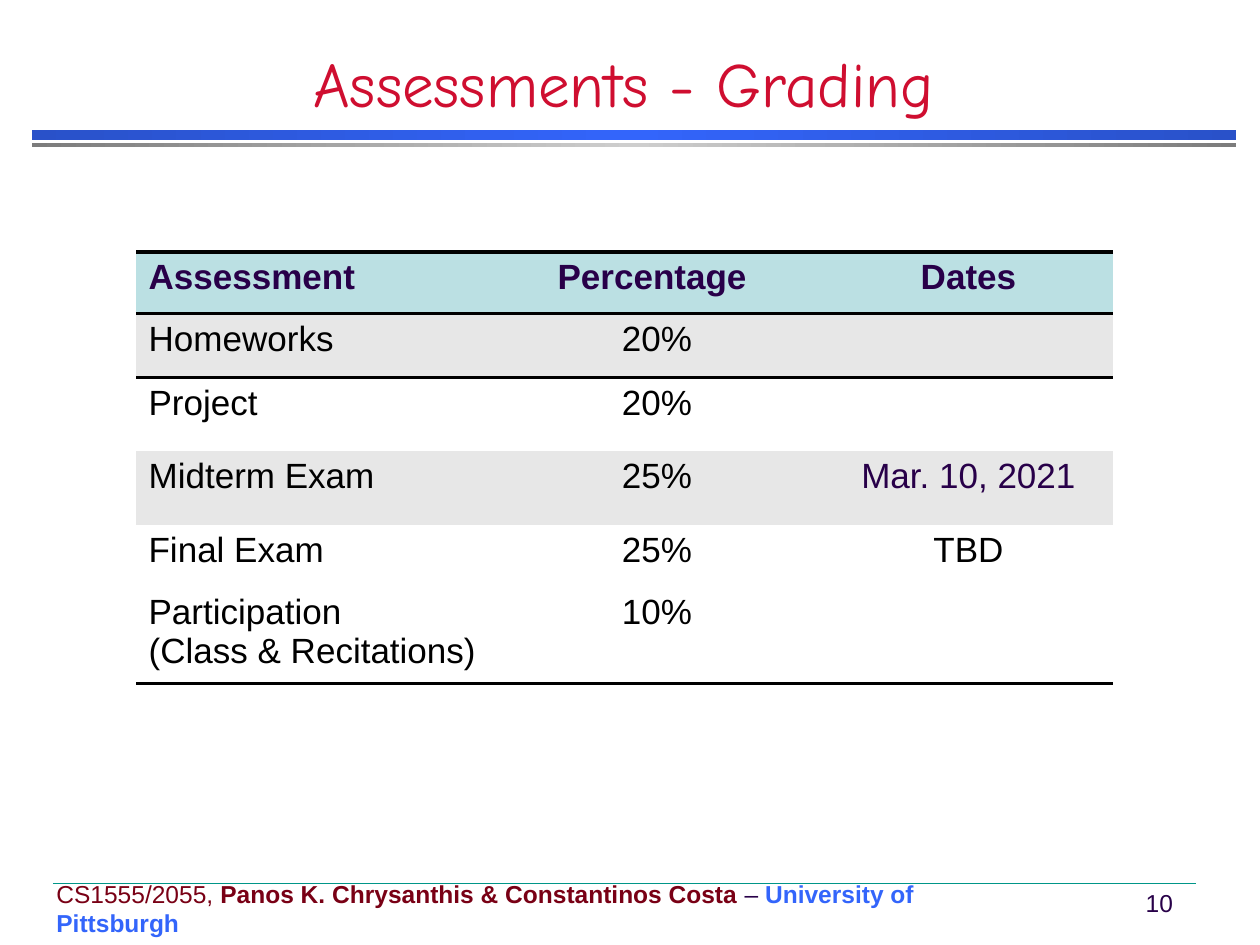
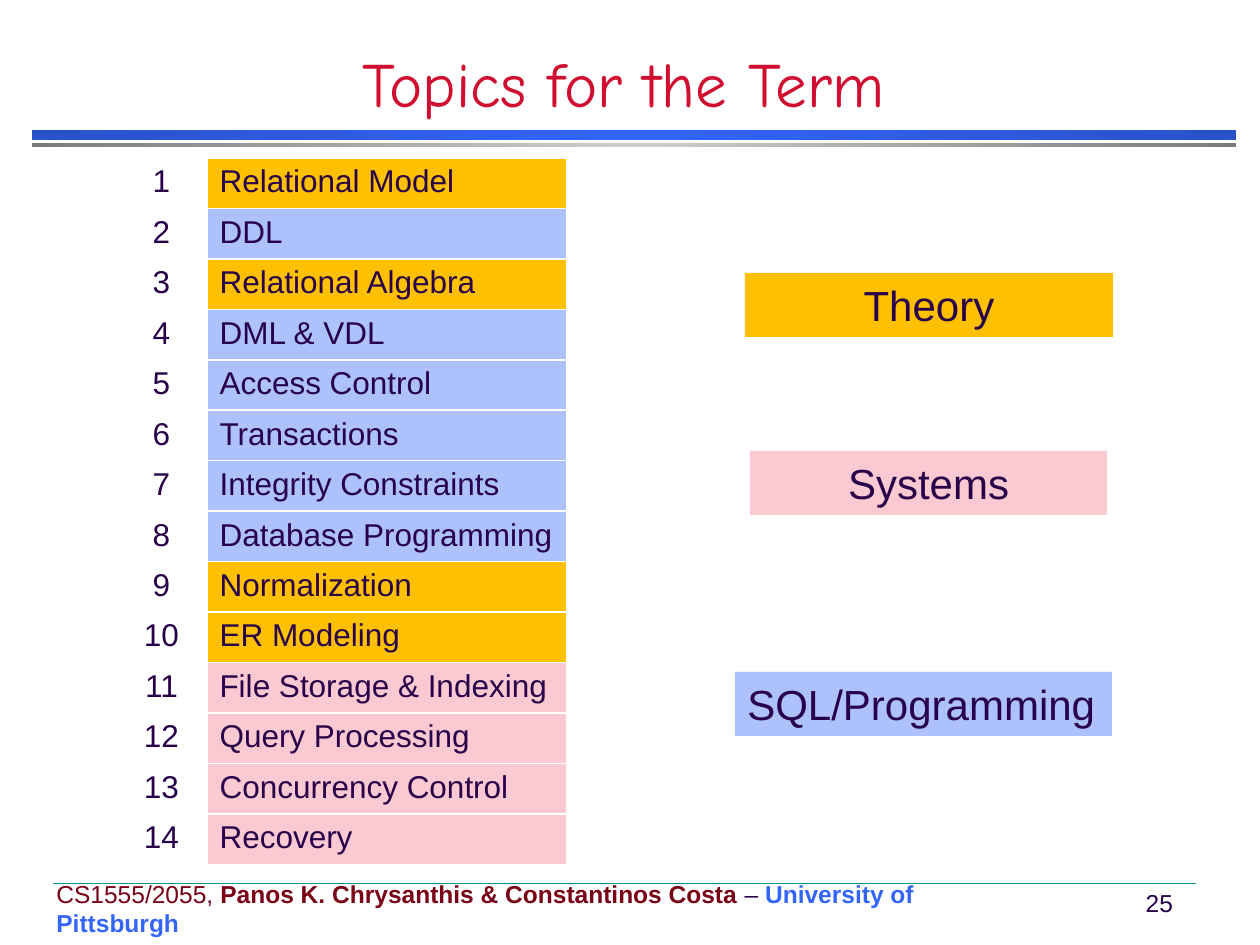
import copy
from dataclasses import dataclass

import pptx
import pptx.util
from lxml import etree
from pptx.dml.color import RGBColor
from pptx.enum.shapes import MSO_CONNECTOR, MSO_SHAPE
from pptx.enum.text import MSO_ANCHOR, MSO_AUTO_SIZE, PP_ALIGN
from pptx.oxml.ns import qn

PX_PER_INCH = 126
LEFT, CENTER = PP_ALIGN.LEFT, PP_ALIGN.CENTER
PLAIN_TABLE_STYLE = "{2D5ABB26-0587-4C30-8999-92F81FD0307C}"


@dataclass(frozen=True)
class Theme:
    body_font: str = "Arial"
    title_font: str = "Comic Neue"
    title_size: int = 36
    legend_size: int = 24
    grading_size: int = 20
    topic_size: int = 18
    footer_size: int = 14
    white: str = "FFFFFF"
    black: str = "000000"
    ink: str = "280049"
    title: str = "CF0E30"
    maroon: str = "790015"
    blue: str = "3365FB"
    blue_band: tuple = ("2951C9", "3365FB", "2951C9")
    gray_band: tuple = ("7C7C7C", "CECECE", "7C7C7C")
    rule: str = "009688"
    header: str = "BBE0E3"
    stripe: str = "E7E7E7"
    theory: str = "FFC000"
    systems: str = "FBC9D2"
    sql: str = "ADC1FD"


THEME = Theme()

FOOTER = [
    ("CS1555/2055, ", THEME.maroon, False),
    ("Panos K. Chrysanthis & Constantinos Costa ", THEME.maroon, True),
    ("– ", THEME.ink, False),
    ("University of Pittsburgh", THEME.blue, True),
]

GRADING = [
    ("Assessment", "Percentage ", "Dates"),
    ("Homeworks", "20%", ""),
    ("Project", "20%", ""),
    ("Midterm Exam", "25%", "Mar. 10, 2021"),
    ("Final Exam", "25%", "TBD"),
    ("Participation\n(Class & Recitations)", "10%", ""),
]
GRADING_FILLS = [THEME.header, THEME.stripe, THEME.white,
                 THEME.stripe, THEME.white, THEME.white]

TOPICS = [
    ("Relational Model", THEME.theory),
    ("DDL", THEME.sql),
    ("Relational Algebra", THEME.theory),
    ("DML & VDL", THEME.sql),
    ("Access Control", THEME.sql),
    ("Transactions", THEME.sql),
    ("Integrity Constraints", THEME.sql),
    ("Database Programming", THEME.sql),
    ("Normalization", THEME.theory),
    ("ER Modeling", THEME.theory),
    ("File Storage & Indexing", THEME.systems),
    ("Query Processing", THEME.systems),
    ("Concurrency Control", THEME.systems),
    ("Recovery", THEME.systems),
]


# Basic helpers
def px(length):
    return pptx.util.Emu(round(length * 914400 / PX_PER_INCH))


def box(*lengths):
    return [px(length) for length in lengths]


def rgb(color):
    return RGBColor.from_string(color)


def style_run(run, size, color, bold=False, font=THEME.body_font):
    run.font.name = font
    run.font.size = pptx.util.Pt(size)
    run.font.bold = bold
    run.font.color.rgb = rgb(color)


def write(frame, text, size, color, align=LEFT, bold=False, font=THEME.body_font):
    frame.text = text
    for paragraph in frame.paragraphs:
        paragraph.alignment = align
        for run in paragraph.runs:
            style_run(run, size, color, bold, font)


# Shared parts of every slide
def add_band(slide, top, height, colors):
    band = slide.shapes.add_shape(MSO_SHAPE.RECTANGLE, *box(32, top, 1204, height))
    band.shadow.inherit = False
    band.line.fill.background()
    band.fill.gradient()
    band.fill.gradient_angle = 0
    stops = band.element.spPr.find(".//" + qn("a:gsLst"))
    stops.append(copy.deepcopy(stops[0]))
    for index, (stop, color) in enumerate(zip(band.fill.gradient_stops, colors)):
        stop.position = index / 2
        stop.color.rgb = rgb(color)


def add_footer(slide, number):
    course = slide.shapes.add_textbox(*box(44, 857, 1016, 72)).text_frame
    course.word_wrap = True
    course.margin_top = px(22)
    course.margin_right = px(26)
    for text, color, bold in FOOTER:
        run = course.paragraphs[0].add_run()
        run.text = text
        style_run(run, THEME.footer_size, color, bold)

    page = slide.shapes.add_textbox(*box(1125, 882, 62, 42)).text_frame
    page.word_wrap = False
    page.vertical_anchor = MSO_ANCHOR.MIDDLE
    write(page, f" {number}", THEME.footer_size, THEME.ink, CENTER)

    rule = slide.shapes.add_connector(MSO_CONNECTOR.STRAIGHT, *box(53, 883, 1196, 883))
    rule.line.color.rgb = rgb(THEME.rule)
    rule.line.width = pptx.util.Pt(0.25)
    etree.SubElement(rule.element.spPr, qn("a:effectLst"))


def add_course_slide(deck, title, number):
    slide = deck.slides.add_slide(deck.slide_layouts[5])
    add_band(slide, 130, 10, THEME.blue_band)
    add_band(slide, 143, 4, THEME.gray_band)
    add_footer(slide, number)
    heading = slide.shapes.title
    heading.left, heading.top, heading.width, heading.height = box(0, 53, 1247, 73)
    heading.text_frame.auto_size = MSO_AUTO_SIZE.NONE
    heading.text_frame.vertical_anchor = MSO_ANCHOR.BOTTOM
    write(heading.text_frame, title, THEME.title_size, THEME.title, CENTER,
          font=THEME.title_font)
    return slide


# Tables
def add_plain_table(slide, left, top, widths, heights):
    frame = slide.shapes.add_table(len(heights), len(widths),
                                   *box(left, top, sum(widths), sum(heights)))
    table = frame.table
    table.first_row = table.horz_banding = False
    frame.element.find(".//" + qn("a:tableStyleId")).text = PLAIN_TABLE_STYLE
    for column, width in zip(table.columns, widths):
        column.width = px(width)
    for row, height in zip(table.rows, heights):
        row.height = px(height)
    return table


def paint_cell(cell, fill, sides, border, points):
    properties = cell._tc.get_or_add_tcPr()
    for side in sides:
        line = etree.SubElement(properties, qn(f"a:ln{side}"),
                                w=str(pptx.util.Pt(points)))
        solid = etree.SubElement(line, qn("a:solidFill"))
        etree.SubElement(solid, qn("a:srgbClr"), val=border)
    cell.fill.solid()
    cell.fill.fore_color.rgb = rgb(fill)


def add_grading_table(slide):
    table = add_plain_table(slide, 136, 252, [354, 334, 289], [62, 64, 73, 74, 62, 97])
    border_sides = {0: "TB", 1: "T", len(GRADING) - 1: "B"}
    for row, (entries, fill) in enumerate(zip(GRADING, GRADING_FILLS)):
        for column, text in enumerate(entries):
            cell = table.cell(row, column)
            is_header = row == 0
            is_set_date = text.startswith("Mar.")
            color = THEME.ink if is_header or is_set_date else THEME.black
            paint_cell(cell, fill, border_sides.get(row, ""), THEME.black, 2)
            write(cell.text_frame, text, THEME.grading_size, color,
                  CENTER if column else LEFT, is_header)


def add_topics_table(slide):
    table = add_plain_table(slide, 116, 158, [91, 360], [50.4] * len(TOPICS))
    for row, (topic, fill) in enumerate(TOPICS):
        number_cell, topic_cell = table.cell(row, 0), table.cell(row, 1)
        paint_cell(number_cell, THEME.white, "LRTB", THEME.white, 1)
        paint_cell(topic_cell, fill, "LRTB", THEME.white, 1)
        write(number_cell.text_frame, str(row + 1), THEME.topic_size, THEME.ink, CENTER)
        write(topic_cell.text_frame, topic, THEME.topic_size, THEME.ink)


# Legend of topic areas
def add_area(slide, name, fill, left, top, width, align=CENTER):
    area = slide.shapes.add_shape(MSO_SHAPE.RECTANGLE, *box(left, top, width, 64))
    area.shadow.inherit = False
    area.fill.solid()
    area.fill.fore_color.rgb = rgb(fill)
    area.line.fill.background()
    area.text_frame.word_wrap = align == CENTER
    area.text_frame.vertical_anchor = MSO_ANCHOR.TOP
    write(area.text_frame, name, THEME.legend_size, THEME.ink, align)


def main():
    deck = pptx.Presentation()
    deck.slide_width, deck.slide_height = box(1260, 945)

    grading = add_course_slide(deck, "Assessments - Grading", 10)
    add_grading_table(grading)

    topics = add_course_slide(deck, "Topics for the Term", 25)
    add_topics_table(topics)
    add_area(topics, "Systems", THEME.systems, 750, 451, 357)
    add_area(topics, "Theory", THEME.theory, 745, 273, 368)
    add_area(topics, "SQL/Programming", THEME.sql, 735, 672, 377, LEFT)

    deck.save("out.pptx")


if __name__ == "__main__":
    main()
